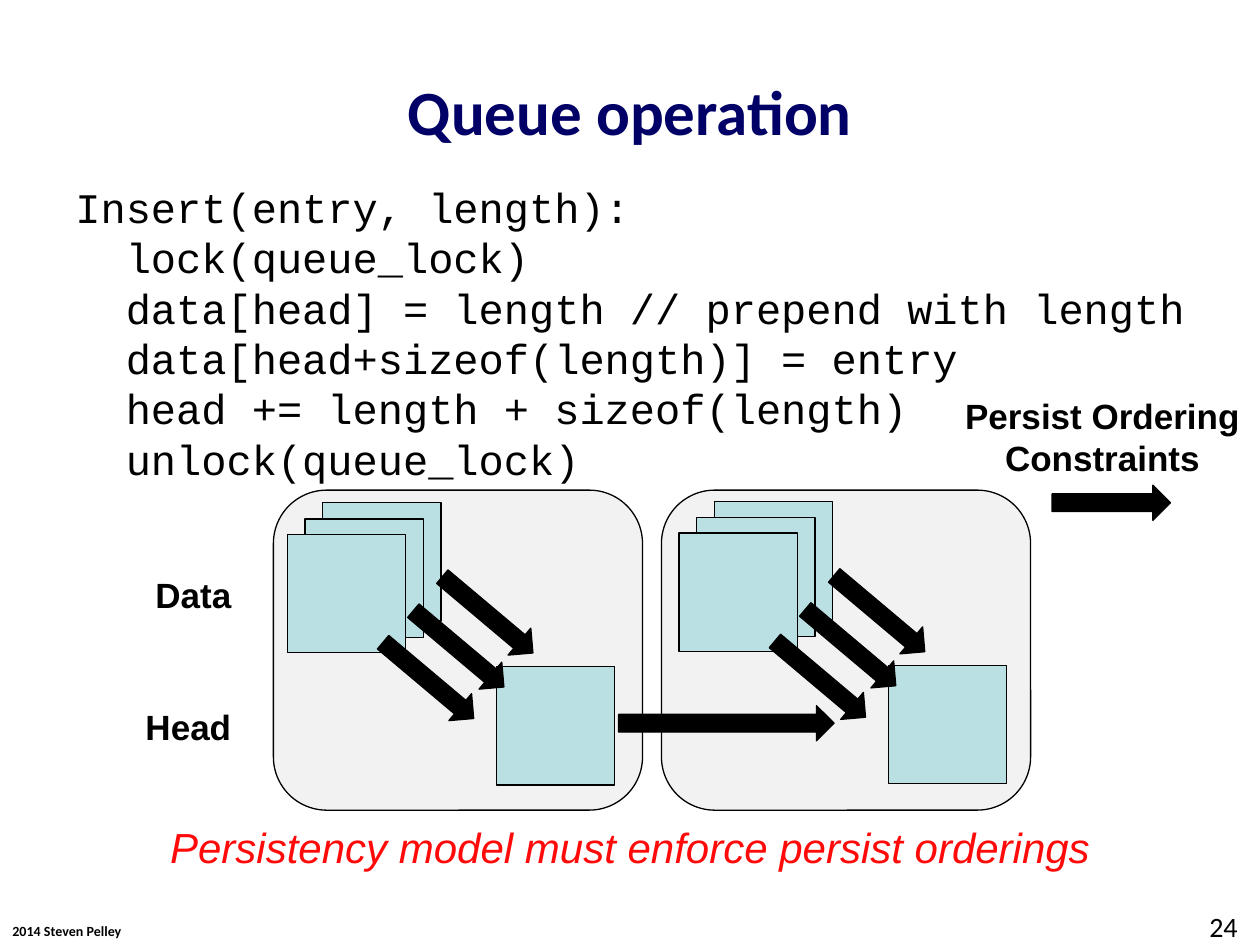
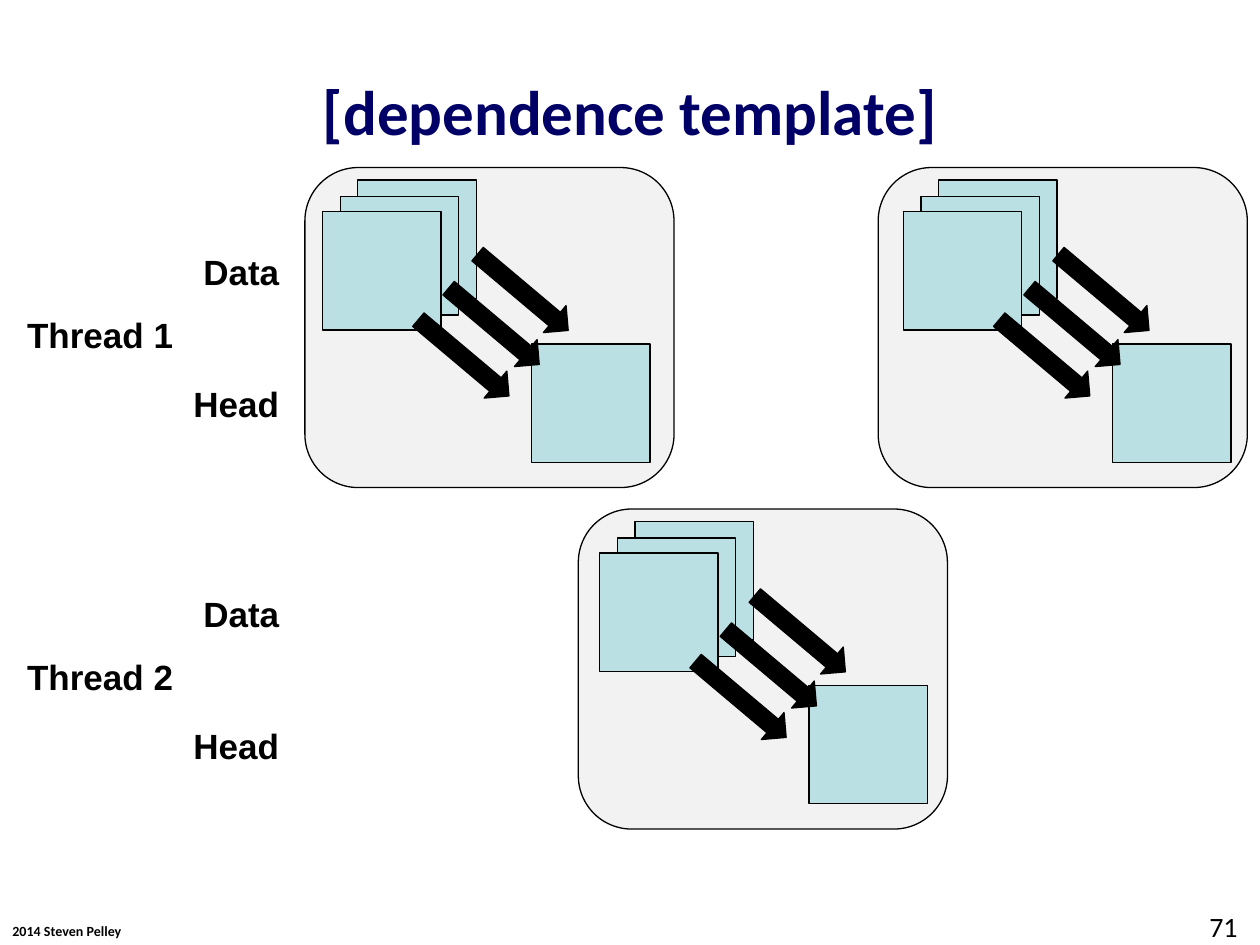
"""Build two slides on persist order in a shared queue."""
import dataclasses
import typing

import pptx
import pptx.dml.color
import pptx.enum.shapes
import pptx.enum.text
import pptx.slide
import pptx.util

Inches = pptx.util.Inches
Kind = pptx.enum.shapes.MSO_SHAPE
Align = pptx.enum.text.PP_ALIGN
Anchor = pptx.enum.text.MSO_ANCHOR

HUES = {
    "navy": "000066",
    "black": "000000",
    "red": "FF0909",
    "panel": "F2F2F2",
    "block": "BBE0E3",
}
SIDE = 0.94
THICK = 0.28
TILT = 40.1
STACK = [(0.28, 0), (0.14, 0.13), (0, 0.25)]
HEAD = (1.66, 1.3)
DEPENDS = [(1.12, 0.75), (0.65, 1.27), (0.89, 1.02)]
CODE = """Insert(entry, length):
  lock(queue_lock)
  data[head] = length // prepend with length
  data[head+sizeof(length)] = entry
  head += length + sizeof(length)
  unlock(queue_lock)"""


@dataclasses.dataclass(frozen=True)
class Style:
    """Look of a piece of text."""
    size: int
    font: str = "Arial"
    hue: str = "black"
    bold: bool = False
    slant: bool = False
    align: typing.Any = Align.CENTER
    anchor: typing.Any = Anchor.TOP
    wrap: bool = False


@dataclasses.dataclass(frozen=True)
class Label:
    """Text in a box."""
    text: str
    left: float
    top: float
    width: float
    height: float
    style: Style


@dataclasses.dataclass(frozen=True)
class Insert:
    """One queue insert: panel corner and offset of its blocks."""
    left: float
    top: float
    inset: float
    drop: float = 0.1


TITLE = Style(36, "Calibri", "navy", bold=True, anchor=Anchor.MIDDLE, wrap=True)
FOOT = Style(8, "Calibri", bold=True, align=Align.LEFT)
PAGE = Style(16, "Calibri", align=Align.LEFT, wrap=True)
LIST = Style(24, "Courier New", align=Align.LEFT)
NAME = Style(20, bold=True)
CLAIM = Style(24, hue="red", slant=True)


def paint(hue: str) -> pptx.dml.color.RGBColor:
    """Look up a colour."""
    return pptx.dml.color.RGBColor.from_string(HUES[hue])


def write(slide: pptx.slide.Slide, label: Label) -> None:
    """Add a text box."""
    style = label.style
    box = slide.shapes.add_textbox(Inches(label.left), Inches(label.top),
                                   Inches(label.width), Inches(label.height))
    frame = box.text_frame
    frame.word_wrap = style.wrap
    frame.vertical_anchor = style.anchor
    frame.text = label.text
    for line in frame.paragraphs:
        line.alignment = style.align
        for run in line.runs:
            run.font.size = pptx.util.Pt(style.size)
            run.font.name = style.font
            run.font.bold = style.bold
            run.font.italic = style.slant
            run.font.color.rgb = paint(style.hue)


def draw(slide: pptx.slide.Slide, kind: Kind, hue: str, left: float, top: float,
         width: float, height: float, turn: float = 0) -> None:
    """Add a filled shape with a thin black line."""
    shape = slide.shapes.add_shape(kind, Inches(left), Inches(top),
                                   Inches(width), Inches(height))
    shape.shadow.inherit = False
    shape.rotation = turn
    shape.fill.solid()
    shape.fill.fore_color.rgb = paint(hue)
    shape.line.color.rgb = paint("black")
    shape.line.width = pptx.util.Pt(0.75)


def arrow(slide: pptx.slide.Slide, left: float, top: float,
          width: float = SIDE, turn: float = 0) -> None:
    """Add a black block arrow."""
    draw(slide, Kind.RIGHT_ARROW, "black", left, top, width, THICK, turn)


def insert(slide: pptx.slide.Slide, unit: Insert) -> None:
    """Draw a panel with data blocks, head block and their arrows."""
    draw(slide, Kind.ROUNDED_RECTANGLE, "panel", unit.left, unit.top, 2.93, 2.54)
    left, top = unit.left + unit.inset, unit.top + unit.drop
    for right, down in [*STACK, HEAD]:
        draw(slide, Kind.RECTANGLE, "block", left + right, top + down, SIDE, SIDE)
    for right, down in DEPENDS:
        arrow(slide, left + right, top + down, turn=TILT)


def rows(slide: pptx.slide.Slide, left: float, top: float) -> None:
    """Name the data and head rows beside a panel."""
    write(slide, Label("Data", left + 0.08, top, 0.81, 0.44, NAME))
    write(slide, Label("Head", left, top + 1.05, 0.89, 0.44, NAME))


def start(deck: typing.Any, title: str, page: int,
          units: list[Insert]) -> pptx.slide.Slide:
    """Add a slide with footer, inserts, title and page number."""
    slide = deck.slides.add_slide(deck.slide_layouts[6])
    write(slide, Label("2014 Steven Pelley", 0, 7.27, 1.07, 0.24, FOOT))
    for unit in units:
        insert(slide, unit)
    write(slide, Label(title, 0.5, 0.5, 9, 0.75, TITLE))
    write(slide, Label(str(page), 9.5, 7.17, 0.5, 0.33, PAGE))
    return slide


def queue(deck: typing.Any) -> None:
    """Build the slide on the queue code and its persist order."""
    slide = start(deck, "Queue operation", 24,
                  [Insert(2.17, 3.89, 0.11), Insert(5.25, 3.89, 0.14, 0.09)])
    write(slide, Label(CODE, 0.5, 1.39, 9.07, 2.52, LIST))
    rows(slide, 1.05, 4.5)
    arrow(slide, 4.91, 5.6, 1.71)
    write(slide, Label("Persist Ordering\vConstraints", 7.55, 3.08, 2.4, 0.77, NAME))
    arrow(slide, 8.35, 3.85)
    write(slide, Label("Persistency model must enforce persist orderings",
                       1.21, 6.47, 7.58, 0.5, CLAIM))


def threads(deck: typing.Any) -> None:
    """Build the slide with inserts from two threads."""
    slide = start(deck, "[dependence template]", 71,
                  [Insert(2.42, 1.33, 0.14), Insert(6.97, 1.33, 0.2),
                   Insert(4.59, 4.04, 0.17)])
    for count, top in enumerate([1.94, 4.65], 1):
        rows(slide, 1.43, top)
        write(slide, Label(f"Thread {count}", 0.11, top + 0.5, 1.37, 0.44, NAME))


def main() -> None:
    """Build and save the deck."""
    deck = pptx.Presentation()
    deck.slide_width = Inches(10)
    deck.slide_height = Inches(7.5)
    queue(deck)
    threads(deck)
    deck.save("out.pptx")


if __name__ == "__main__":
    main()
